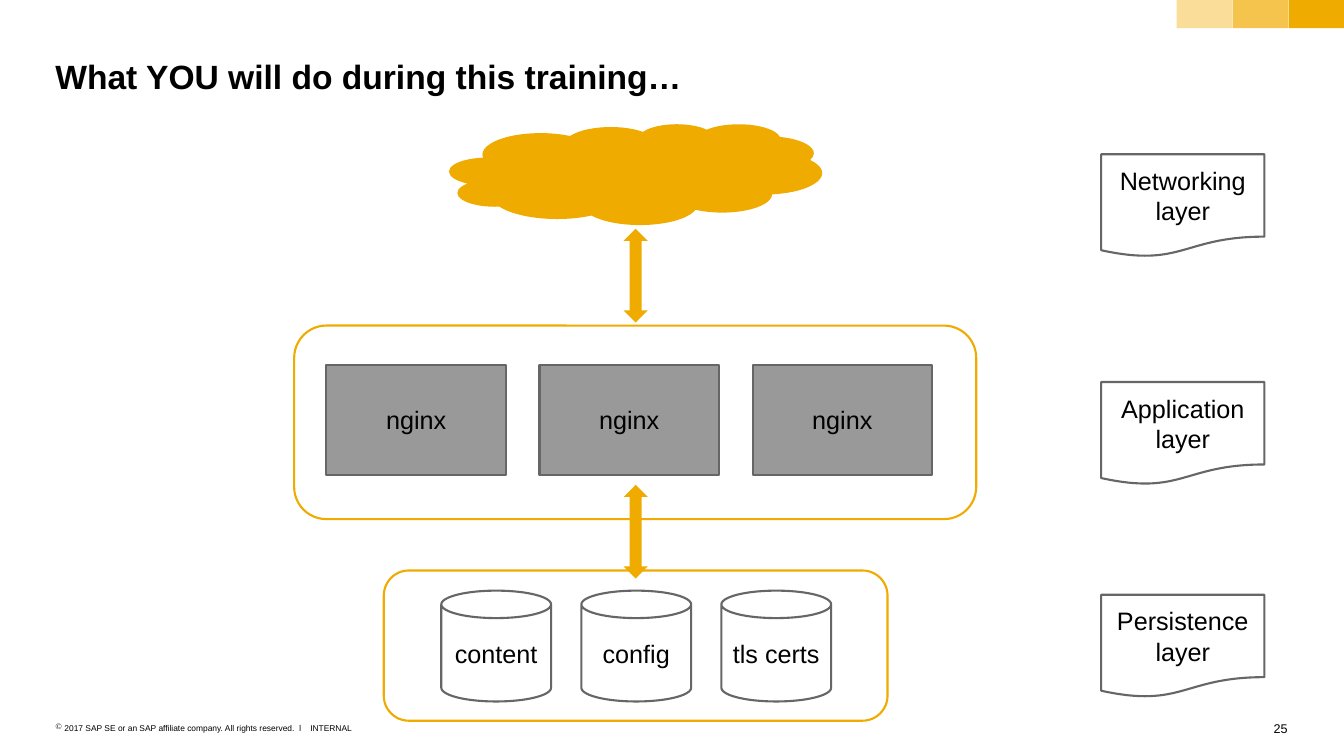
from lxml.etree import SubElement
from pptx import Presentation
from pptx.dml.color import RGBColor
from pptx.enum.shapes import MSO_SHAPE
from pptx.enum.text import MSO_ANCHOR, PP_ALIGN
from pptx.oxml.ns import qn
from pptx.util import Inches, Pt

# Content
TITLE = "What YOU will do during this training…"
COPYRIGHT = "2017 SAP SE or an SAP affiliate company. All rights reserved.  ǀ"
CLASSIFICATION = "INTERNAL"
PAGE = "25"
SERVERS = ["nginx", "nginx", "nginx"]
STORES = ["content", "config", "tls certs"]
LAYERS = [("Networking layer", 1.53), ("Application layer", 3.79),
          ("Persistence layer", 5.9)]
ARROW_TOPS = [2.27, 4.81]
BAR_ALPHAS = [40, 70, 100]

GOLD, GRAY, DARK, WHITE, BLACK = "F0AB00", "999999", "666666", "FFFFFF", "000000"

prs = Presentation()
prs.slide_width, prs.slide_height = Inches(13.34), Inches(7.5)
s = prs.slides.add_slide(prs.slide_layouts[6])


def color(target, value):
    target.rgb = RGBColor.from_string(value)


def write(tf, text, size, align=PP_ALIGN.LEFT, bold=False):
    p = tf.paragraphs[0]
    p.alignment = align
    r = p.add_run()
    r.text = text
    for name, value in dict(name="Arial", size=Pt(size), bold=bold).items():
        setattr(r.font, name, value)
    color(r.font.color, BLACK)
    return p


def add_text(box, text, size, wrap=True, **style):
    tf = s.shapes.add_textbox(*map(Inches, box)).text_frame
    margins = dict.fromkeys(
        ("margin_left", "margin_top", "margin_right", "margin_bottom"), 0)
    for name, value in dict(margins, word_wrap=wrap).items():
        setattr(tf, name, value)
    return write(tf, text, size, **style)


def add_shape(kind, box, fill, line=None, text=None):
    sp = s.shapes.add_shape(kind, *map(Inches, box))
    sp.shadow.inherit = False
    sp.fill.solid()
    color(sp.fill.fore_color, fill)
    if line:
        color(sp.line.color, line)
        sp.line.width = Pt(1.5)
    else:
        sp.line.fill.background()
    if text:
        tf = sp.text_frame
        margins = dict(margin_left=0.1, margin_top=0.08,
                       margin_right=0.1, margin_bottom=0.08)
        for name, value in margins.items():
            setattr(tf, name, Inches(value))
        tf.word_wrap = True
        tf.vertical_anchor = MSO_ANCHOR.MIDDLE
        write(tf, text, 18, PP_ALIGN.CENTER)
    return sp


# Corner bars, from light to full gold
for i, alpha in enumerate(BAR_ALPHAS):
    sp = add_shape(MSO_SHAPE.RECTANGLE, (11.68 + i * 0.555, 0, 0.55, 0.28), GOLD)
    if alpha < 100:
        clr = sp.fill._xPr.find(qn("a:solidFill"))[0]
        SubElement(clr, qn("a:alpha"), val=str(alpha * 1000))

# Title and footer
add_text((0.55, 0.55, 12.23, 0.4), TITLE, 24, bold=True)
add_text((12.63, 7.15, 0.15, 0.15), PAGE, 9, wrap=False, align=PP_ALIGN.RIGHT)
add_text((3.08, 7.17, 0.42, 0.1), CLASSIFICATION, 6, wrap=False)
p = add_text((0.55, 7.17, 2.48, 0.1), COPYRIGHT, 6)
pPr = p._p.get_or_add_pPr()
pPr.set("marL", str(Inches(0.09)))
pPr.set("indent", str(-Inches(0.09)))
SubElement(pPr, qn("a:buChar"), char="©")

# Application panel with servers
add_shape(MSO_SHAPE.ROUNDED_RECTANGLE, (2.92, 3.23, 6.77, 1.92), WHITE, GOLD)
for i, name in enumerate(SERVERS):
    add_shape(MSO_SHAPE.RECTANGLE, (3.24 + i * 2.115, 3.62, 1.78, 1.09),
              GRAY, DARK, name)

# Persistence panel with stores
add_shape(MSO_SHAPE.ROUNDED_RECTANGLE, (3.81, 5.66, 5, 1.49), WHITE, GOLD)
for i, name in enumerate(STORES):
    add_shape(MSO_SHAPE.CAN, (4.38 + i * 1.39, 5.86, 1.09, 1.1),
              WHITE, DARK, name)

# Cloud and arrows between layers
add_shape(MSO_SHAPE.CLOUD, (4.46, 1.23, 3.7, 1), GOLD)
for top in ARROW_TOPS:
    add_shape(MSO_SHAPE.UP_DOWN_ARROW, (6.19, top, 0.24, 0.93), GOLD)

# Layer labels
for name, top in LAYERS:
    add_shape(MSO_SHAPE.FLOWCHART_DOCUMENT, (10.93, top, 1.62, 1.02),
              WHITE, DARK, name)

prs.save("out.pptx")
